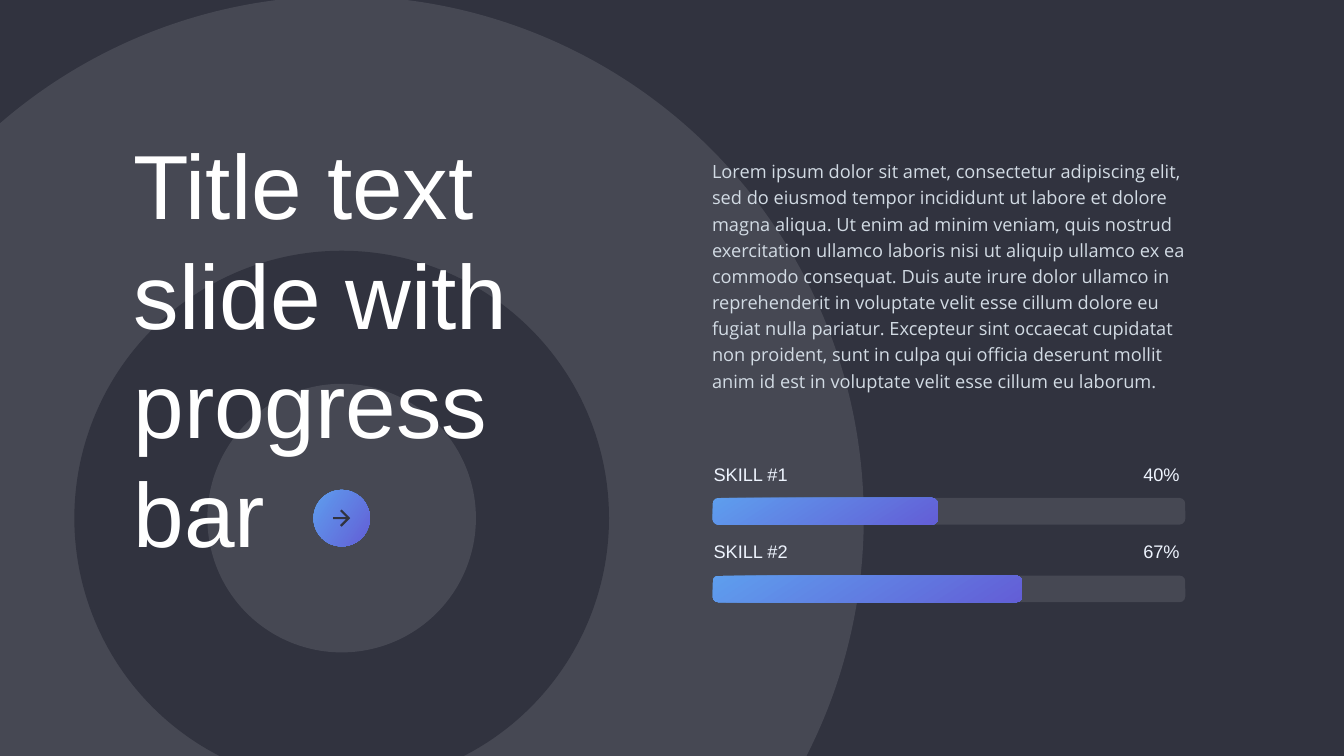
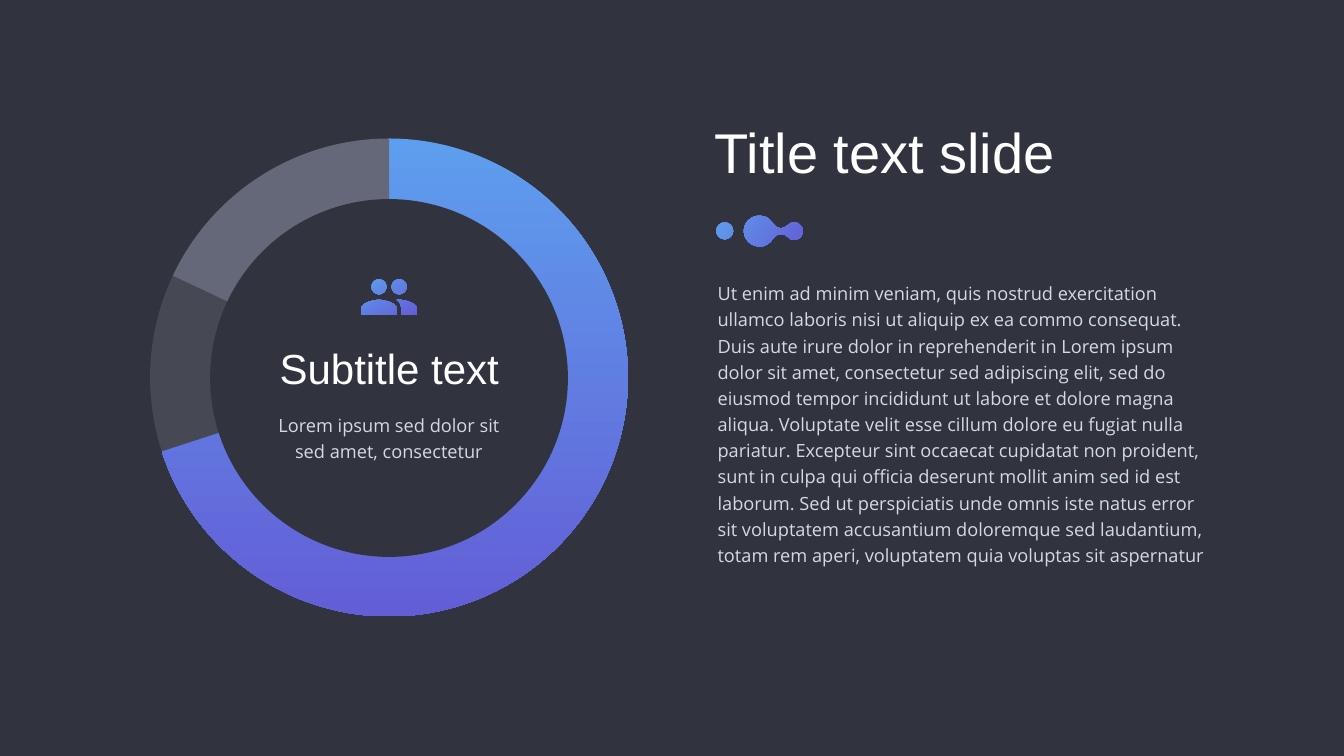
from lxml.etree import SubElement
from pptx import Presentation
from pptx.chart.data import CategoryChartData as Data
from pptx.dml.color import RGBColor as RGB
from pptx.enum.chart import XL_CHART_TYPE as Chart
from pptx.enum.shapes import MSO_SHAPE as Shape
from pptx.enum.text import MSO_ANCHOR as Anchor
from pptx.enum.text import MSO_AUTO_SIZE as Fit
from pptx.enum.text import PP_ALIGN as Align
from pptx.oxml.ns import qn
from pptx.util import Inches, Pt

HEX = {
    "night": "31333F",
    "slate": "464853",
    "grey": "646879",
    "white": "FFFFFF",
    "mist": "D2DBE4",
    "ice": "EEF4FE",
    "sky": "5E9EEE",
    "iris": "635ED6",
    "ink": "2F313F",
}
HEAD, BODY = "Arial", "Open Sans"
PAD = 0.06

INTRO = (
    "Lorem ipsum dolor sit amet, consectetur adipiscing elit, sed do eiusmod tempor "
    "incididunt ut labore et dolore magna aliqua. Ut enim ad minim veniam, quis nostrud "
    "exercitation ullamco laboris nisi ut aliquip ullamco ex ea commodo consequat. Duis aute "
    "irure dolor ullamco in reprehenderit in voluptate velit esse cillum dolore eu fugiat "
    "nulla pariatur. Excepteur sint occaecat cupidatat non proident, sunt in culpa qui "
    "officia deserunt mollit anim id est in voluptate velit esse cillum eu laborum."
)
STORY = (
    "Ut enim ad minim veniam, quis nostrud exercitation ullamco laboris nisi ut aliquip ex ea "
    "commo consequat. Duis aute irure dolor in reprehenderit in Lorem ipsum dolor sit amet, "
    "consectetur sed adipiscing elit, sed do eiusmod tempor incididunt ut labore et dolore "
    "magna aliqua. Voluptate velit esse cillum dolore eu fugiat nulla pariatur. Excepteur "
    "sint occaecat cupidatat non proident, sunt in culpa qui officia deserunt mollit anim sed "
    "id est laborum. Sed ut perspiciatis unde omnis iste natus error sit voluptatem "
    "accusantium doloremque sed laudantium, totam rem aperi, voluptatem quia voluptas sit "
    "aspernatur"
)

# Outlines: a pair is a corner, six numbers are a Bezier curve
ARROW = [(0, 0.19), (0.26, 0.19), (0.14, 0.31), (0.17, 0.34), (0.34, 0.17),
         (0.17, 0), (0.14, 0.03), (0.26, 0.15), (0, 0.15)]
DROP = [
    (0.87, 0),
    (0.7, -0.01, 0.55, 0.13, 0.55, 0.3),
    (0.55, 0.47, 0.68, 0.6, 0.85, 0.61),
    (0.97, 0.62, 1.08, 0.55, 1.13, 0.45),
    (1.16, 0.41, 1.2, 0.38, 1.24, 0.37),
    (1.31, 0.35, 1.37, 0.37, 1.42, 0.42),
    (1.52, 0.54, 1.72, 0.47, 1.72, 0.31),
    (1.72, 0.14, 1.52, 0.07, 1.42, 0.19),
    (1.38, 0.23, 1.33, 0.25, 1.28, 0.25),
    (1.22, 0.25, 1.16, 0.21, 1.13, 0.16),
    (1.08, 0.06, 0.98, 0, 0.87, 0),
]
FRONT = [(0.35, 0.41), (0.23, 0.41, 0, 0.47, 0, 0.58), (0, 0.7), (0.7, 0.7),
         (0.7, 0.58), (0.7, 0.47, 0.46, 0.41, 0.35, 0.41)]
BACK = [(0.75, 0.41), (0.74, 0.41, 0.72, 0.41, 0.7, 0.41),
        (0.76, 0.45, 0.8, 0.51, 0.8, 0.58), (0.8, 0.7), (1.1, 0.7),
        (1.1, 0.58), (1.1, 0.47, 0.87, 0.41, 0.75, 0.41)]


def color(name):
    return RGB.from_string(HEX[name])


def paint(fill, look):
    """Fill with a named colour, or with the sky-to-iris fade at an angle."""
    if isinstance(look, str):
        fill.solid()
        fill.fore_color.rgb = color(look)
        return
    fill.gradient()
    fill.gradient_angle = 360 - look
    for stop, name in zip(fill.gradient_stops, ("sky", "iris")):
        stop.color.rgb = color(name)


def finish(shape, look):
    shape.shadow.inherit = False
    shape.line.fill.background()
    paint(shape.fill, look)
    return shape


def block(slide, kind, box, look):
    return finish(slide.shapes.add_shape(kind, *map(Inches, box)), look)


def disc(slide, x, y, size, look):
    """Circle around the centre x, y."""
    box = (x - size / 2, y - size / 2, size, size)
    return block(slide, Shape.OVAL, box, look)


def write(slide, box, text, size, tint, font=HEAD, align=Align.LEFT,
          anchor=Anchor.MIDDLE, lead=1.2):
    frame = slide.shapes.add_textbox(*map(Inches, box)).text_frame
    frame.word_wrap = True
    frame.auto_size = Fit.SHAPE_TO_FIT_TEXT
    frame.vertical_anchor = anchor
    frame.margin_left = frame.margin_right = Inches(PAD)
    frame.margin_top = frame.margin_bottom = Inches(PAD)
    para = frame.paragraphs[0]
    para.text = text
    para.alignment = align
    para.line_spacing = Pt(round(size * lead, 1))
    para.font.name = font
    para.font.size = Pt(size)
    para.font.color.rgb = color(tint)


def title(slide, box, text, size=80, align=Align.LEFT):
    write(slide, box, text, size, "white", align=align)


def prose(slide, box, text, align=Align.LEFT):
    write(slide, box, text, 26, "mist", BODY, align, Anchor.TOP, 1.44)


def ring(x, y, r):
    """Round outline of four curves."""
    k = 0.55 * r
    return [
        (x, y - r),
        (x + k, y - r, x + r, y - k, x + r, y),
        (x + r, y + k, x + k, y + r, x, y + r),
        (x - k, y + r, x - r, y + k, x - r, y),
        (x - r, y - k, x - k, y - r, x, y - r),
    ]


def icon(slide, left, top, paths, look):
    """Freeform through the ends of all parts, then bent into curves."""
    pen = None
    for path in paths:
        ends = [(Inches(left + p[-2]), Inches(top + p[-1])) for p in path]
        if pen is None:
            pen = slide.shapes.build_freeform(*ends[0])
        else:
            pen.move_to(*ends[0])
        pen.add_line_segments(ends[1:], close=True)
    shape = pen.convert_to_shape()
    lines = list(shape.element.iter(qn("a:lnTo")))
    parts = [part for path in paths for part in path[1:]]
    for line, part in zip(lines, parts):
        if len(part) == 6:
            line.clear()
            line.tag = qn("a:cubicBezTo")
            for x, y in zip(part[::2], part[1::2]):
                dot = SubElement(line, qn("a:pt"))
                dot.set("x", str(Inches(left + x) - shape.left))
                dot.set("y", str(Inches(top + y) - shape.top))
    return finish(shape, look)


def target(slide, x, y):
    """Concentric circles behind the title."""
    for size, look in ((20.72, "slate"), (10.61, "night"), (5.33, "slate")):
        disc(slide, x, y, size, look)


def button(slide, x, y):
    disc(slide, x, y, 1.12, 34)
    icon(slide, x - 0.17, y - 0.17, [ARROW], "night")


def skill(slide, left, top, width, name, share, done):
    """Progress bar with a row of labels above it."""
    label, high = 1.72, 0.53
    for size, look in ((width, "slate"), (done, 57)):
        bar = block(slide, Shape.ROUNDED_RECTANGLE, (left, top + 0.74, size, high), look)
        bar.adjustments[0] = 0.215
    write(slide, (left - 0.04, top, label, high), name, 26, "ice")
    write(slide, (left + width - label - 0.05, top, label, high), share, 26,
          "ice", align=Align.RIGHT)


def donut(slide, left, top, size):
    """Pie chart with a disc over its middle, holding an icon and text."""
    data = Data()
    data.categories = ["1", "2", "3"]
    data.add_series("Series 1", (70, 12, 18))
    box = map(Inches, (left, top, size, size))
    chart = slide.shapes.add_chart(Chart.PIE, *box, data).chart
    chart.has_title = chart.has_legend = False
    chart.font.name = "Roboto"
    chart.font.size = Pt(10)
    chart.font.color.rgb = color("ink")
    plot = chart.plots[0]
    plot.vary_by_categories = False
    series = plot.series[0]
    paint(series.format.fill, 90)
    for i, look in enumerate((90, "slate", "grey")):
        form = series.points[i].format
        paint(form.fill, look)
        form.line.fill.background()

    # Let the pie fill its frame
    area = chart.element.find(".//" + qn("c:plotArea"))
    for old in area.findall(qn("c:layout")):
        area.remove(old)
    place = SubElement(area, qn("c:layout"))
    area.insert(0, place)
    rule = SubElement(place, qn("c:manualLayout"))
    for tag, val in (("layoutTarget", "inner"), ("xMode", "edge"), ("yMode", "edge"),
                     ("x", "0.005"), ("y", "0.005"), ("w", "0.99"), ("h", "0.988")):
        SubElement(rule, qn("c:" + tag)).set("val", val)

    x, y = left + size / 2, top + size / 2
    disc(slide, x, y, 7.1, "night")
    title(slide, (x - 2.57, y - 0.76, 5.15, 1.1), "Subtitle text", 60, Align.CENTER)
    prose(slide, (x - 2.53, y + 0.57, 5.06, 1.21),
          "Lorem ipsum sed dolor sit sed amet, consectetur", Align.CENTER)
    heads = [ring(hx, 0.15, 0.15) for hx in (0.75, 0.35)]
    icon(slide, x - 0.55, y - 1.96, heads + [FRONT, BACK], 57)


def blank(deck):
    slide = deck.slides.add_slide(deck.slide_layouts[6])
    paint(slide.background.fill, "night")
    return slide


def progress(deck):
    slide = blank(deck)
    x, y = 6.78, 10.28
    target(slide, x, y)
    title(slide, (2.59, 2.61, 9.97, 8.56), "Title text slide with progress bar", 130)
    button(slide, x, y)
    prose(slide, (14.07, 3.04, 9.86, 5.41), INTRO)
    skills = (("SKILL #1", "40%", 4.47), ("SKILL #2", "67%", 6.14))
    for i, row in enumerate(skills):
        skill(slide, 14.14, 9.14 + 1.54 * i, 9.38, *row)


def shares(deck):
    slide = blank(deck)
    title(slide, (14.12, 2.28, 9.97, 1.42), "Title text slide")
    icon(slide, 14.21, 4.28, [DROP, ring(0.17, 0.3, 0.17)], 34)
    prose(slide, (14.18, 5.46, 9.84, 6.61), STORY)
    donut(slide, 2.92, 2.7, 9.6)


def main():
    deck = Presentation()
    deck.slide_width, deck.slide_height = Inches(26.67), Inches(15)
    progress(deck)
    shares(deck)
    deck.save("out.pptx")


if __name__ == "__main__":
    main()
